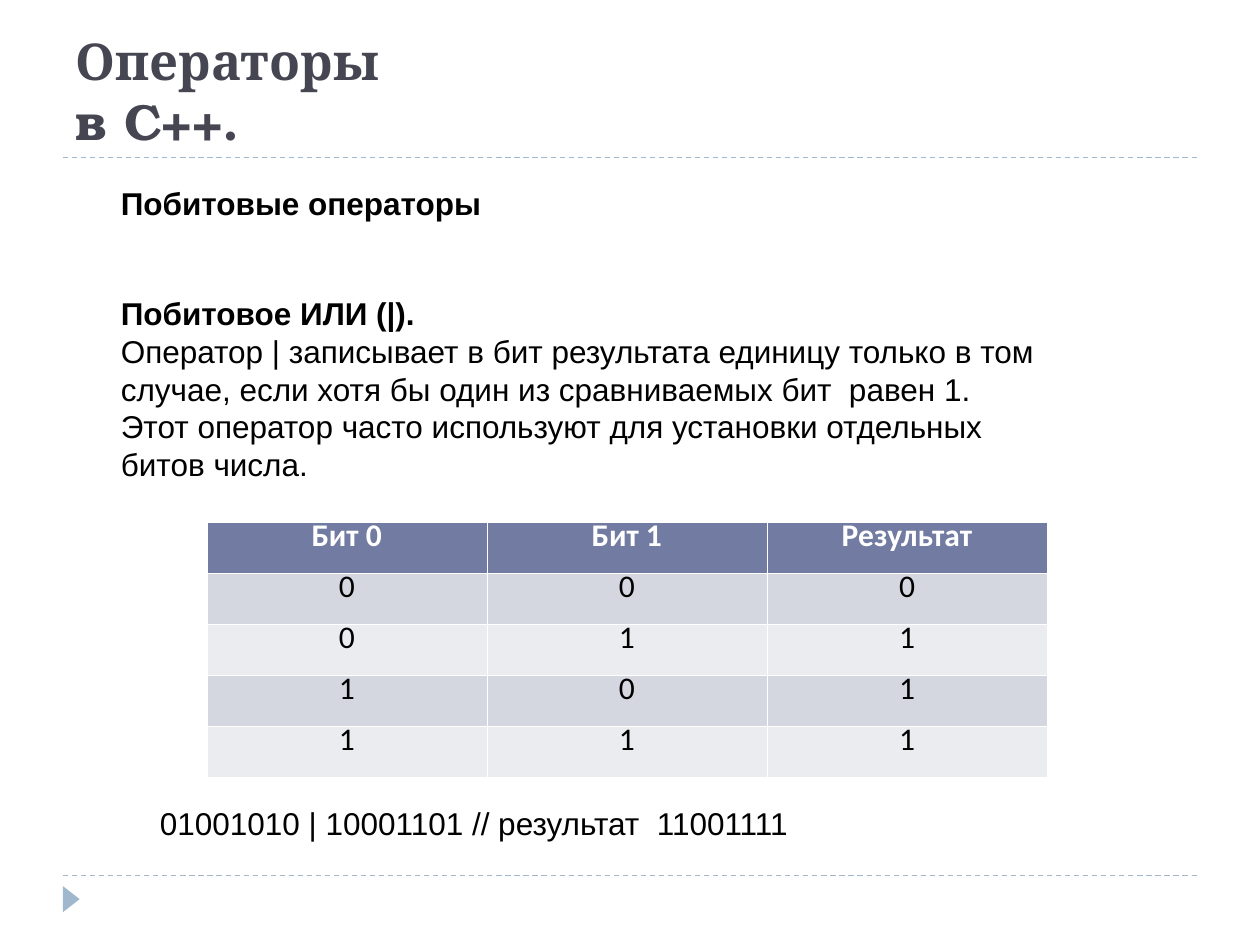
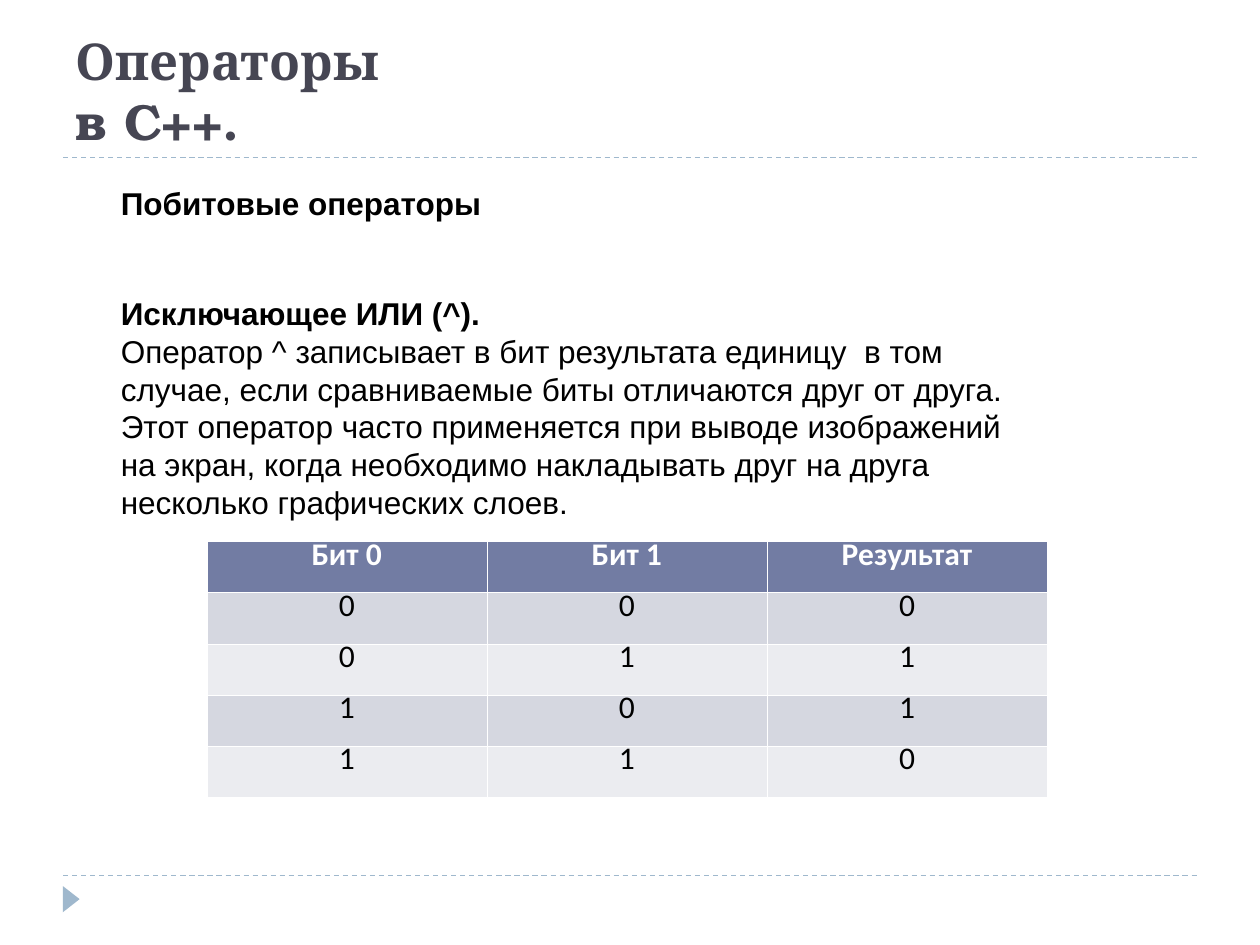
from lxml.etree import SubElement
from pptx import Presentation
from pptx.dml.color import RGBColor
from pptx.enum.dml import MSO_LINE
from pptx.enum.shapes import MSO_CONNECTOR, MSO_SHAPE
from pptx.enum.text import MSO_ANCHOR, MSO_AUTO_SIZE, PP_ALIGN
from pptx.oxml.ns import qn
from pptx.util import Pt

ACCENT = RGBColor(0x9F, 0xB8, 0xCD)
TITLE = RGBColor(0x46, 0x46, 0x53)
HEADER = RGBColor(0x72, 0x7C, 0xA3)
BAND_DARK = RGBColor(0xD5, 0xD7, 0xE0)
BAND_LIGHT = RGBColor(0xEB, 0xEC, 0xF0)
BLACK = RGBColor(0, 0, 0)
WHITE = RGBColor(0xFF, 0xFF, 0xFF)

MARGIN, CONTENT_W = 36, 648
TITLE_RULE_Y, FOOTER_RULE_Y = 90, 500.4
BODY_SIZE = 18
BLANK_GAP = 41.4  # two lines of body text
TABLE_X, TABLE_W, ROW_H = 118.08, 480.24, 29.2
THIN, THICK = 0.06, 0.17

BITS = [("0", "0"), ("0", "1"), ("1", "0"), ("1", "1")]


def add_run(p, text, font, size, color, bold=False):
    r = p.add_run()
    r.text = text
    r.font.name, r.font.size, r.font.bold = font, Pt(size), bold
    r.font.color.rgb = color


def add_rule(s, y):
    line = s.shapes.add_connector(MSO_CONNECTOR.STRAIGHT, Pt(MARGIN), Pt(y),
                                  Pt(MARGIN + CONTENT_W), Pt(y))
    line.line.color.rgb = ACCENT
    line.line.width = Pt(0.75)
    line.line.dash_style = MSO_LINE.DASH
    SubElement(line._element.spPr, qn("a:effectLst"))


def add_frame(s):
    """Dashed rules and the footer marker."""
    add_rule(s, FOOTER_RULE_Y)
    add_rule(s, TITLE_RULE_Y)
    marker = s.shapes.add_shape(MSO_SHAPE.ISOSCELES_TRIANGLE,
                                Pt(33.2), Pt(509), Pt(15), Pt(9.6))
    marker.rotation = 90
    marker.shadow.inherit = False
    marker.fill.solid()
    marker.fill.fore_color.rgb = ACCENT
    marker.line.fill.background()


def add_title(s):
    sp = s.shapes.title
    sp.left, sp.top, sp.width, sp.height = Pt(MARGIN), Pt(18), Pt(CONTENT_W), Pt(72)
    tf = sp.text_frame
    tf.auto_size = MSO_AUTO_SIZE.NONE
    tf.vertical_anchor = MSO_ANCHOR.BOTTOM
    p = tf.paragraphs[0]
    p.alignment = PP_ALIGN.LEFT
    add_run(p, "Операторы", "Cambria", 29, TITLE, True)
    p.add_line_break()
    add_run(p, "в C++.", "TeX Gyre Bonum", 29, TITLE, True)


def add_text(s, x, y, w, h, paragraphs):
    """Each paragraph is (text, bold, space before)."""
    tf = s.shapes.add_textbox(Pt(x), Pt(y), Pt(w), Pt(h)).text_frame
    tf.word_wrap = True
    for i, (text, bold, before) in enumerate(paragraphs):
        p = tf.add_paragraph() if i else tf.paragraphs[0]
        if before:
            p.space_before = Pt(before)
        add_run(p, text, "Arial", BODY_SIZE, BLACK, bold)


def set_borders(cell, top, bottom):
    tc_pr = cell._tc.get_or_add_tcPr()
    widths = (("a:lnL", THIN), ("a:lnR", THIN), ("a:lnT", top), ("a:lnB", bottom))
    for i, (tag, width) in enumerate(widths):
        ln = SubElement(tc_pr, qn(tag), w=str(Pt(width)))
        fill = SubElement(ln, qn("a:solidFill"))
        SubElement(fill, qn("a:srgbClr"), val=str(WHITE))
        tc_pr.insert(i, ln)  # borders come before the fill


def add_truth_table(s, y, results):
    rows = [("Бит 0", "Бит 1", "Результат")]
    rows += [(a, b, result) for (a, b), result in zip(BITS, results)]
    table = s.shapes.add_table(len(rows), 3, Pt(TABLE_X), Pt(y),
                               Pt(TABLE_W), Pt(ROW_H * len(rows))).table
    table.first_row = table.horz_banding = False
    for i, row in enumerate(rows):
        table.rows[i].height = Pt(ROW_H)
        header = i == 0
        for j, text in enumerate(row):
            cell = table.cell(i, j)
            cell.margin_left = cell.margin_right = Pt(5.4)
            cell.fill.solid()
            cell.fill.fore_color.rgb = (HEADER if header else
                                        BAND_DARK if i % 2 else BAND_LIGHT)
            set_borders(cell, THICK if i == 1 else THIN, THICK if header else THIN)
            p = cell.text_frame.paragraphs[0]
            p.alignment = PP_ALIGN.CENTER
            p.line_spacing = 0.58
            p.space_after = Pt(10)
            add_run(p, text, "Calibri", BODY_SIZE, WHITE if header else BLACK, header)


def add_operator_slide(prs, name, description, text_h, table_y, results):
    s = prs.slides.add_slide(prs.slide_layouts[5])
    add_frame(s)
    add_title(s)
    add_text(s, 62, 101.5, 540, text_h, [
        ("Побитовые операторы", True, 0),
        (name, True, BLANK_GAP),
        (description, False, 0),
    ])
    add_truth_table(s, table_y, results)
    return s


def main():
    prs = Presentation()
    prs.slide_width, prs.slide_height = Pt(720), Pt(540)

    # Bitwise OR
    s = add_operator_slide(
        prs, "Побитовое ИЛИ (|).",
        "Оператор | записывает в бит результата единицу только в том случае, "
        "если хотя бы один из сравниваемых бит  равен 1. Этот оператор часто "
        "используют для установки отдельных битов числа.",
        180, 298.2, "0111")
    add_text(s, 84.24, 455.8, 376.5, 72,
             [("01001010 | 10001101 // результат  11001111", False, 0)])

    # Exclusive OR
    add_operator_slide(
        prs, "Исключающее ИЛИ (^).",
        "Оператор ^ записывает в бит результата единицу  в том случае, если "
        "сравниваемые биты отличаются друг от друга. Этот оператор часто "
        "применяется при выводе изображений на экран, когда необходимо "
        "накладывать друг на друга несколько графических слоев.",
        201.6, 309.4, "0110")

    prs.save("out.pptx")


if __name__ == "__main__":
    main()
